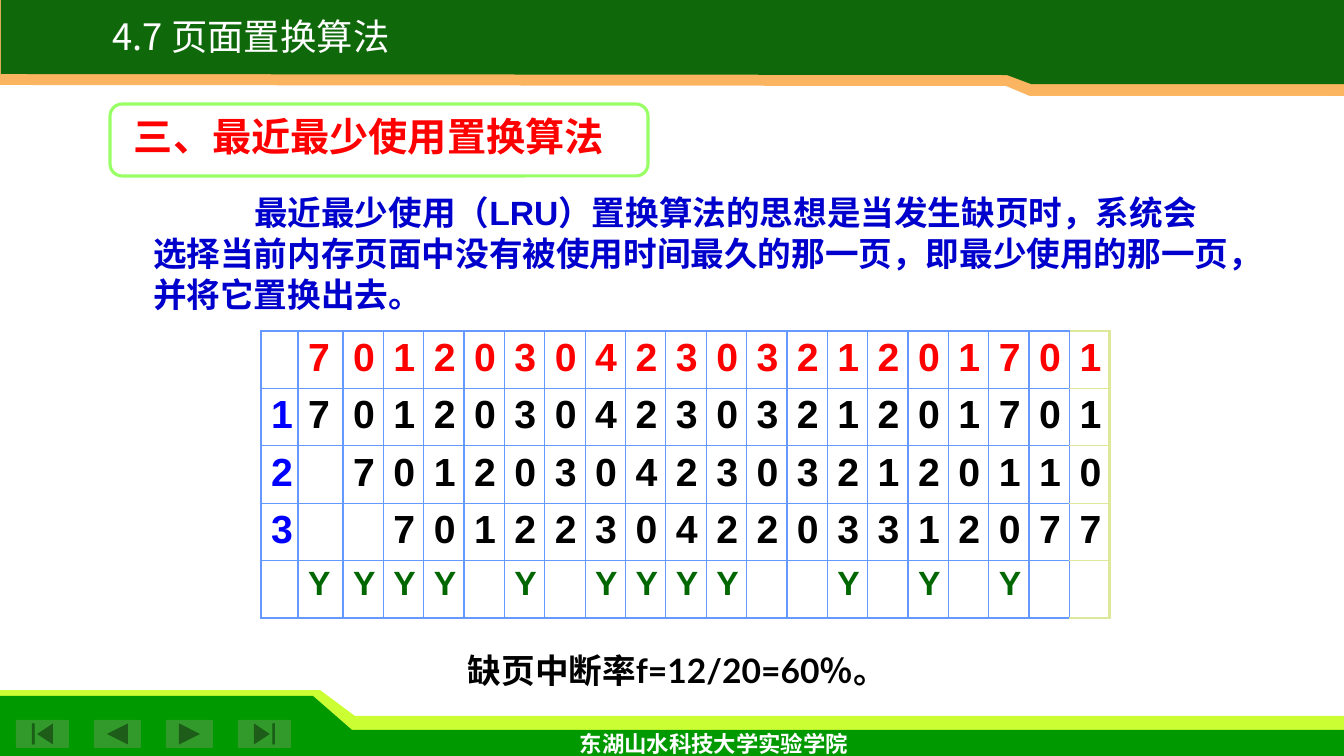
"""Builds the slide on the least recently used page replacement algorithm."""
import dataclasses
import typing

import lxml.etree
import pptx
import pptx.dml.color
import pptx.enum.shapes
import pptx.enum.text
import pptx.oxml
import pptx.oxml.ns
import pptx.util

PX = 914400 / 100.8
BUTTON = pptx.enum.shapes.MSO_SHAPE
ALIGN = pptx.enum.text.PP_ALIGN
ANCHOR = pptx.enum.text.MSO_ANCHOR


@dataclasses.dataclass(frozen=True)
class Theme:
    white: str = "FFFFFF"
    black: str = "000000"
    lime: str = "CCFF33"
    green: str = "009900"
    dark_green: str = "0F690B"
    button: str = "329A2A"
    orange: str = "FBB561"
    frame: str = "99FF66"
    red: str = "FF0000"
    body: str = "0000CC"
    frame_number: str = "0000FF"
    fault: str = "006600"
    grid: str = "6699FF"
    last_grid: str = "DDE89A"
    sans: str = "Arial"
    serif: str = "Times New Roman"
    lato: str = "Lato"
    cjk: str = "Noto Sans CJK SC"
    large: float = 28
    title: float = 26
    medium: float = 24
    small: float = 16


THEME = Theme()


class Box(typing.NamedTuple):
    left: int
    top: int
    width: int
    height: int


class Band(typing.NamedTuple):
    color: str
    points: list[tuple[int, int]]
    opacity: int = 100


class Style(typing.NamedTuple):
    size: float
    font: str
    color: str
    bold: bool = True


class Label(typing.NamedTuple):
    box: Box
    text: str
    style: Style
    align: ALIGN = ALIGN.LEFT
    anchor: ANCHOR = ANCHOR.TOP


class TableRow(typing.NamedTuple):
    head: str
    pages: str
    style: Style


BANDS = [
    Band(THEME.lime, [(0, 690), (320, 690), (355, 716), (1344, 716), (1344, 746), (0, 746)]),
    Band(THEME.green, [(0, 696), (313, 696), (352, 730), (1344, 730), (1344, 756), (0, 756)]),
    Band(THEME.orange, [(0, 0), (1344, 0), (1344, 96), (1030, 96), (1006, 86), (0, 85)]),
    Band(THEME.dark_green, [(1, 0), (1344, 0), (1344, 84), (1031, 84), (1007, 75), (1, 74)]),
    Band(THEME.white, [(1013, 96), (1330, 96), (1330, 102), (1027, 102)], 30),
]
BUTTONS = [
    (BUTTON.ACTION_BUTTON_BEGINNING, Box(16, 720, 53, 28)),
    (BUTTON.ACTION_BUTTON_BACK_OR_PREVIOUS, Box(94, 720, 47, 28)),
    (BUTTON.ACTION_BUTTON_FORWARD_OR_NEXT, Box(166, 720, 47, 28)),
    (BUTTON.ACTION_BUTTON_END, Box(238, 720, 53, 28)),
]
LABELS = [
    Label(Box(490, 725, 448, 37), "东湖山水科技大学实验学院",
          Style(THEME.small, THEME.lato, THEME.white), ALIGN.CENTER),
    Label(Box(124, 107, 608, 57), "三、最近最少使用置换算法",
          Style(THEME.large, THEME.serif, THEME.red)),
    Label(Box(458, 645, 472, 50), "缺页中断率f=12/20=60％。",
          Style(THEME.medium, THEME.lato, THEME.black), anchor=ANCHOR.MIDDLE),
]
TITLE = Label(Box(45, 18, 412, 46), "4.7 页面置换算法",
              Style(THEME.title, THEME.cjk, THEME.white, False), ALIGN.CENTER)
IDEA = Label(Box(105, 187, 1134, 158),
             "最近最少使用（LRU）置换算法的思想是当发生缺页时，系统会选择当前内存页面中"
             "没有被使用时间最久的那一页，即最少使用的那一页，并将它置换出去。",
             Style(THEME.medium, THEME.sans, THEME.body))
LOADED = Style(THEME.large, THEME.sans, THEME.black)
HEAD = LOADED._replace(color=THEME.frame_number)
ROWS = [
    TableRow(" ", "70120304230321201701", LOADED._replace(color=THEME.red)),
    TableRow("1", "70120304230321201701", LOADED),
    TableRow("2", " 7012030423032120110", LOADED),
    TableRow("3", "  701223042203312077", LOADED),
    TableRow(" ", "YYYY Y YYYY  Y Y Y  ", Style(THEME.medium, THEME.sans, THEME.fault)),
]


def px(length: float) -> int:
    """Turn pixels into EMU."""
    return round(length * PX)


def rgb(color: str) -> pptx.dml.color.RGBColor:
    """Turn a hex string into a colour."""
    return pptx.dml.color.RGBColor.from_string(color)


def write(frame: typing.Any, text: str, style: Style) -> typing.Any:
    """Set one paragraph of text and return it formatted."""
    frame.text = text
    paragraph = frame.paragraphs[0]
    font = paragraph.runs[0].font
    font.size, font.name, font.bold = pptx.util.Pt(style.size), style.font, style.bold
    font.color.rgb = rgb(style.color)
    return paragraph


def fill_label(shape: typing.Any, label: Label) -> typing.Any:
    """Place a text shape, write its label and return the paragraph."""
    shape.left, shape.top, shape.width, shape.height = map(px, label.box)
    frame = shape.text_frame
    frame.word_wrap = True
    frame.auto_size = pptx.enum.text.MSO_AUTO_SIZE.NONE
    frame.vertical_anchor = label.anchor
    paragraph = write(frame, label.text, label.style)
    paragraph.alignment = label.align
    return paragraph


def paint(shape: typing.Any, color: str) -> None:
    """Fill a shape flatly, without outline or shadow."""
    shape.shadow.inherit = False
    shape.fill.solid()
    shape.fill.fore_color.rgb = rgb(color)
    shape.line.fill.background()


def draw_band(shapes: typing.Any, band: Band) -> None:
    """Draw one decorative band."""
    builder = shapes.build_freeform(*band.points[0], scale=PX)
    builder.add_line_segments(band.points[1:], close=True)
    shape = builder.convert_to_shape()
    paint(shape, band.color)
    if band.opacity < 100:
        color = shape._element.spPr.find(".//" + pptx.oxml.ns.qn("a:srgbClr"))
        lxml.etree.SubElement(color, pptx.oxml.ns.qn("a:alpha"), val=str(band.opacity * 1000))


def border(cell: typing.Any, side: str, color: str, width: float) -> None:
    """Draw one side of a cell."""
    line = pptx.oxml.parse_xml(
        f'<a:ln{side} {pptx.oxml.ns.nsdecls("a")} w="{pptx.util.Pt(width)}">'
        f'<a:solidFill><a:srgbClr val="{color}"/></a:solidFill></a:ln{side}>')
    cell._tc.get_or_add_tcPr().append(line)


def draw_page_table(shapes: typing.Any, box: Box) -> None:
    """Draw the page frames after each reference, with the faults below."""
    column_count = len(ROWS[0].pages) + 1
    table = shapes.add_table(len(ROWS), column_count, *map(px, box)).table
    table.first_row = table.horz_banding = False
    widths = [37, 45] + [(box.width - 82) / (column_count - 2)] * (column_count - 2)
    for column, width in zip(table.columns, widths):
        column.width = px(width)
    for r, row in enumerate(ROWS):
        table.rows[r].height = px(box.height / len(ROWS))
        for c, page in enumerate(row.head + row.pages):
            cell = table.cell(r, c)
            if page.strip():
                write(cell.text_frame, page, row.style if c else HEAD)
            last = c == column_count - 1
            color = THEME.last_grid if last else THEME.grid
            border(cell, "L", THEME.grid, 1)
            border(cell, "R", color, 2.25 if last else 1)
            border(cell, "T", color, 2.25 if last and r == 0 else 1)
            border(cell, "B", color, 2.25 if last and r == len(ROWS) - 1 else 1)
            cell.fill.background()


def build() -> None:
    """Build and save the slide."""
    deck = pptx.Presentation()
    deck.slide_width, deck.slide_height = px(1344), px(756)
    slide = deck.slides.add_slide(deck.slide_layouts[1])
    shapes = slide.shapes
    title, idea = shapes.title, slide.placeholders[1]
    for band in BANDS:
        draw_band(shapes, band)
    for kind, box in BUTTONS:
        paint(shapes.add_shape(kind, *map(px, box)), THEME.button)
    heading_frame = shapes.add_shape(BUTTON.ROUNDED_RECTANGLE, *map(px, Box(110, 104, 538, 72)))
    paint(heading_frame, THEME.white)
    heading_frame.line.color.rgb = rgb(THEME.frame)
    heading_frame.line.width = pptx.util.Pt(2.25)
    for label in LABELS:
        fill_label(shapes.add_textbox(*map(px, label.box)), label)
    draw_page_table(shapes, Box(261, 331, 849, 287))
    fill_label(title, TITLE).line_spacing = 0.8
    paragraph = fill_label(idea, IDEA)
    paragraph.line_spacing, paragraph.space_before = pptx.util.Pt(29), pptx.util.Pt(0)
    properties = paragraph._p.get_or_add_pPr()
    properties.set("marL", str(px(38)))
    properties.set("indent", str(px(101)))
    lxml.etree.SubElement(properties, pptx.oxml.ns.qn("a:buNone"))
    for placeholder in (title, idea):
        shapes._spTree.append(placeholder._element)
    deck.save("out.pptx")


build()
